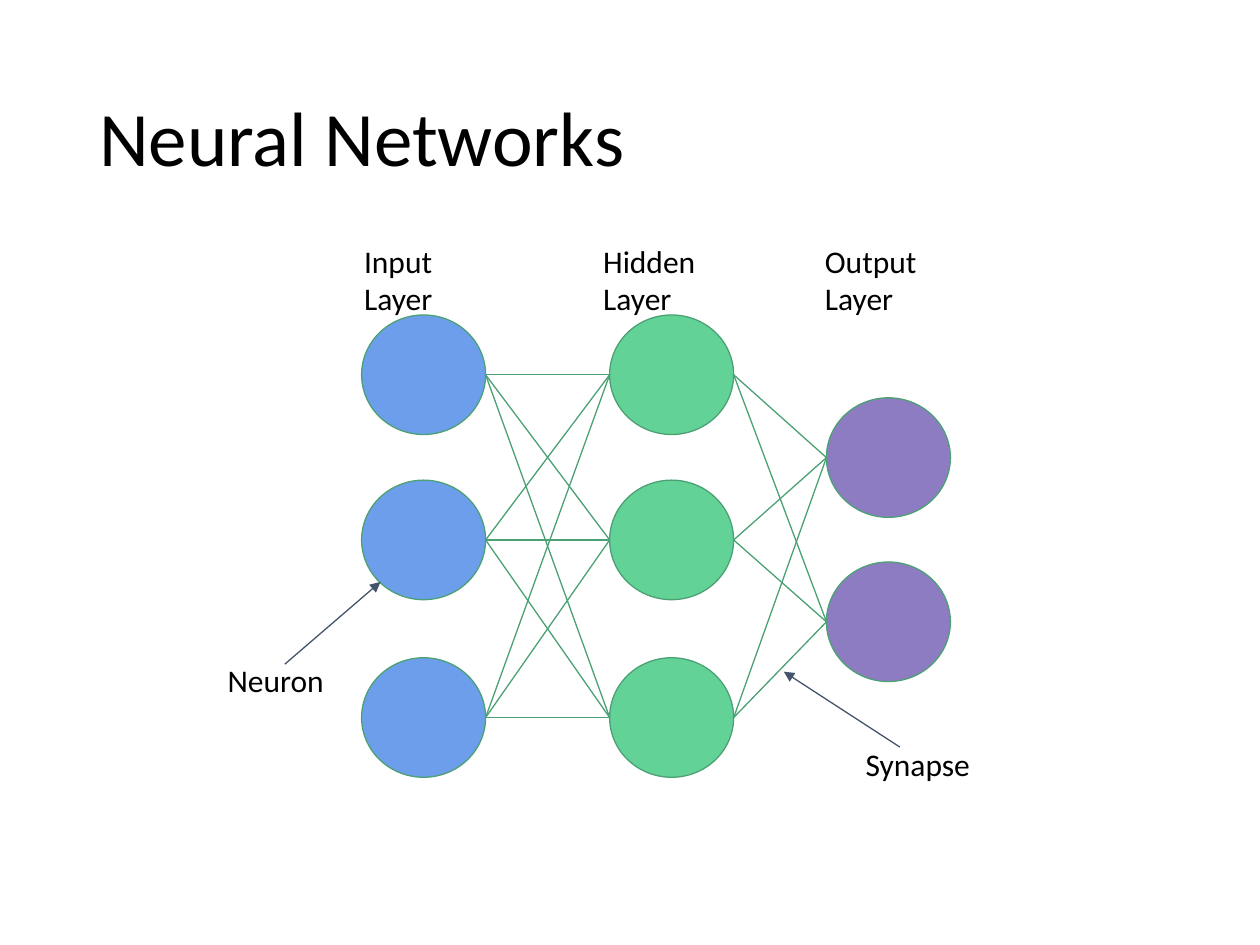
from itertools import product

from lxml import etree
from pptx import Presentation
from pptx import util as u
from pptx.dml.color import RGBColor
from pptx.enum import shapes, text
from pptx.oxml.ns import qn

BLACK = RGBColor(0x00, 0x00, 0x00)
BLUE = RGBColor(0x6D, 0x9E, 0xEB)
GREEN = RGBColor(0x63, 0xD2, 0x97)
PURPLE = RGBColor(0x8E, 0x7C, 0xC3)
EDGE = RGBColor(0x4B, 0xA1, 0x73)
SLATE = RGBColor(0x44, 0x54, 0x6A)

FONT = "Calibri"
NODE_W, NODE_H = 2.5, 2.41
LABEL_H = 1.04

# All positions are in centimetres.
THREE_ROWS = (6.35, 9.68, 13.26)
TWO_ROWS = (8.02, 11.33)
LAYERS = [  # node left, node tops, fill
    (7.29, THREE_ROWS, BLUE),
    (12.29, THREE_ROWS, GREEN),
    (16.66, TWO_ROWS, PURPLE),
]
LABELS = [  # wording, left, top, width
    ("Input Layer", 7.09, 4.62, 3.25),
    ("Hidden Layer", 11.91, 4.62, 3.66),
    ("Output Layer", 16.38, 4.62, 3.66),
    ("Synapse", 17.2, 14.76, 3.25),
    ("Neuron", 4.34, 13.08, 2.46),
]
POINTERS = [  # start, end
    ((18.14, 15.06), (15.8, 13.54)),
    ((5.74, 13.39), (7.67, 11.73)),
]


def add_text(slide, wording, left, top, width, height, size=18,
             inset_y=0.25, anchor=text.MSO_ANCHOR.TOP, spacing=1.0):
    box = slide.shapes.add_textbox(u.Cm(left), u.Cm(top), u.Cm(width), u.Cm(height))
    frame = box.text_frame
    frame.word_wrap = True
    frame.vertical_anchor = anchor
    frame.margin_left = frame.margin_right = u.Cm(0.25)
    frame.margin_top = frame.margin_bottom = u.Cm(inset_y)
    paragraph = frame.paragraphs[0]
    paragraph.line_spacing = spacing
    run = paragraph.add_run()
    run.text = wording
    run.font.name = FONT
    run.font.size = u.Pt(size)
    run.font.color.rgb = BLACK


def add_neuron(slide, left, top, fill):
    neuron = slide.shapes.add_shape(
        shapes.MSO_SHAPE.OVAL, u.Cm(left), u.Cm(top), u.Cm(NODE_W), u.Cm(NODE_H))
    neuron.shadow.inherit = False
    neuron.fill.solid()
    neuron.fill.fore_color.rgb = fill
    neuron.line.color.rgb = EDGE
    neuron.line.width = u.Pt(0.75)


def add_line(slide, start, end, color, arrow=False):
    line = slide.shapes.add_connector(
        shapes.MSO_CONNECTOR.STRAIGHT, *(u.Cm(value) for value in (*start, *end)))
    line.line.color.rgb = color
    line.line.width = u.Pt(0.75)
    properties = line._element.spPr
    if arrow:
        etree.SubElement(properties.find(qn("a:ln")), qn("a:tailEnd"), type="triangle")
    etree.SubElement(properties, qn("a:effectLst"))


def main():
    deck = Presentation()
    deck.slide_width, deck.slide_height = u.Cm(25.4), u.Cm(19.05)
    slide = deck.slides.add_slide(deck.slide_layouts[6])

    add_text(slide, "Neural Networks", 1.75, 1.01, 21.9, 3.68, size=44,
             inset_y=0.13, anchor=text.MSO_ANCHOR.MIDDLE, spacing=0.9)

    for left, tops, fill in LAYERS:
        for top in tops:
            add_neuron(slide, left, top, fill)

    # Every neuron feeds every neuron of the next layer.
    for (left, tops, _), (next_left, next_tops, _) in zip(LAYERS, LAYERS[1:]):
        for top, next_top in product(tops, next_tops):
            add_line(slide, (left + NODE_W, top + NODE_H / 2),
                     (next_left, next_top + NODE_H / 2), EDGE)

    for wording, left, top, width in LABELS:
        add_text(slide, wording, left, top, width, LABEL_H)
    for start, end in POINTERS:
        add_line(slide, start, end, SLATE, arrow=True)

    deck.save("out.pptx")


if __name__ == "__main__":
    main()
